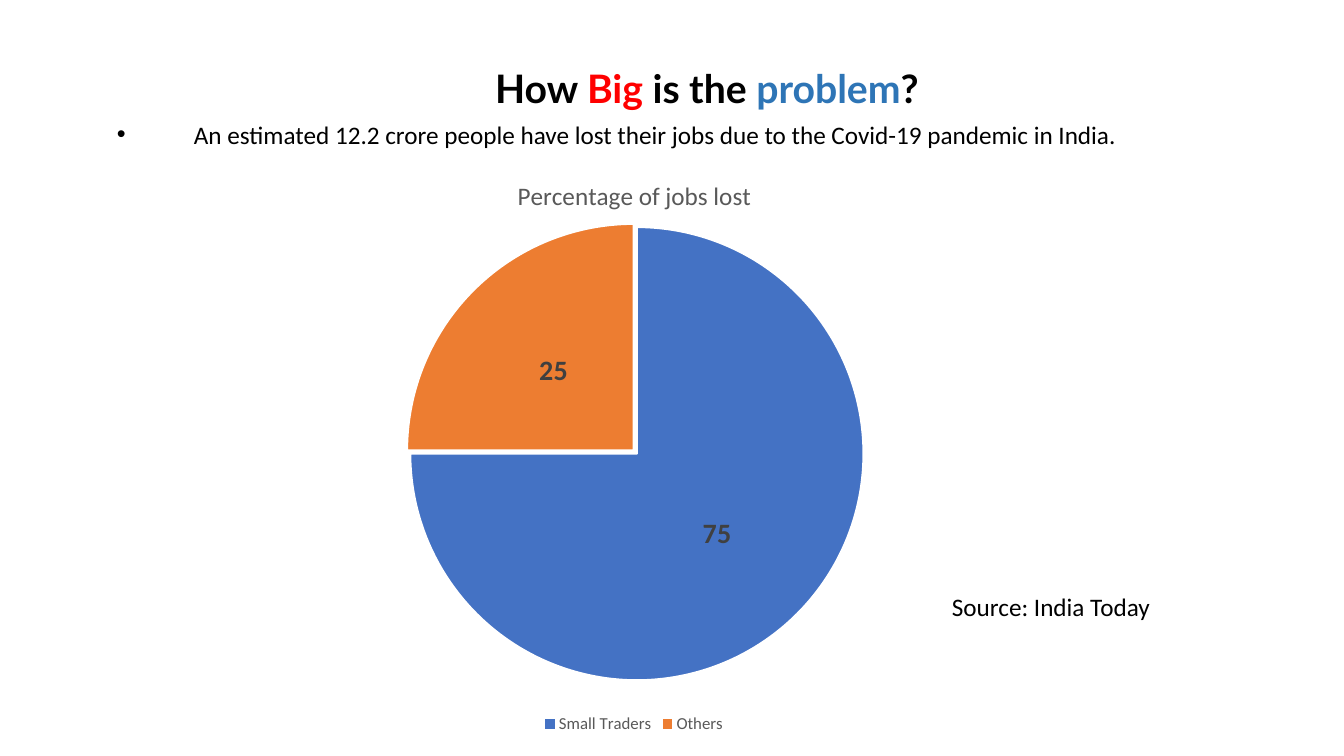
from lxml.etree import SubElement
from pptx import Presentation
from pptx.chart.data import CategoryChartData
from pptx.dml.color import RGBColor
from pptx.enum.chart import XL_CHART_TYPE, XL_LABEL_POSITION, XL_LEGEND_POSITION
from pptx.enum.text import MSO_ANCHOR, MSO_AUTO_SIZE, PP_ALIGN
from pptx.oxml import parse_xml
from pptx.oxml.ns import nsdecls, qn
from pptx.util import Emu, Pt

COLORS = {"black": "000000", "red": "FF0000", "problem": "2E75B6", "white": "FFFFFF",
          "traders": "4472C4", "others": "ED7D31", "label": "404040", "muted": "595959"}
TITLE = [("How ", "black"), ("Big", "red"), (" is the ", "black"),
         ("problem", "problem"), ("?", "black")]
FACT = "An estimated 12.2 crore people have lost their jobs due to the Covid-19 pandemic in India."
SOURCE = "Source: India Today"
CHART_TITLE = "Percentage of jobs lost"
JOBS_LOST = [("Small Traders", 75, "traders"), ("Others", 25, "others")]

# left, top, width, height in px
SLIDE = (1344, 756)
TITLE_BOX = (107, 59, 1200, 56)
FACT_BOX = (107, 114, 1200, 42)
CHART_BOX = (186, 140, 896, 598)
PIE_BOX = (406, 223, 458, 458)
CHART_TITLE_AT = (513, 174)
SOURCE_BOX = (942, 586, 346, 40)
BULLET_INDENT = 77


def px(n):
    return Emu(round(n * 914400 / 100.8))


def rgb(name):
    return RGBColor.from_string(COLORS[name])


def set_font(font, size, color="black", name="Calibri", bold=False):
    font.size, font.name, font.bold = Pt(size), name, bold
    font.color.rgb = rgb(color)


def write(tf, runs, size, name="Calibri", bold=False, align=PP_ALIGN.LEFT):
    tf.word_wrap = True
    tf.auto_size = MSO_AUTO_SIZE.NONE
    tf.vertical_anchor = MSO_ANCHOR.TOP
    p = tf.paragraphs[0]
    p.alignment = align
    for text, color in runs:
        r = p.add_run()
        r.text = text
        set_font(r.font, size, color, name, bold)
    return p


def chart_layout(left, top, width=None, height=None):
    """Manual layout element from slide px, as fractions of the chart box."""
    x, y, w, h = CHART_BOX
    parts = [("x", (left - x) / w), ("y", (top - y) / h)]
    inner = ""
    if width:
        parts += [("w", width / w), ("h", height / h)]
        inner = '<c:layoutTarget val="inner"/>'
    modes = '<c:xMode val="edge"/><c:yMode val="edge"/>'
    values = "".join(f'<c:{k} val="{v:.3f}"/>' for k, v in parts)
    return parse_xml(f'<c:layout {nsdecls("c")}><c:manualLayout>{inner}{modes}{values}'
                     '</c:manualLayout></c:layout>')


def add_pie(s):
    data = CategoryChartData()
    data.categories = [name for name, _, _ in JOBS_LOST]
    data.add_series("Series 1", [value for _, value, _ in JOBS_LOST])
    chart = s.shapes.add_chart(XL_CHART_TYPE.PIE, *map(px, CHART_BOX), data).chart
    set_font(chart.font, 10)

    chart.has_title = True
    title = chart.chart_title
    r = title.text_frame.paragraphs[0].add_run()
    r.text = CHART_TITLE
    set_font(r.font, 18, "muted")
    title_xml = title._element
    for old in title_xml.findall(qn("c:layout")):
        title_xml.remove(old)
    title_xml.find(qn("c:tx")).addnext(chart_layout(*CHART_TITLE_AT))

    chart.has_legend = True
    chart.legend.position = XL_LEGEND_POSITION.BOTTOM
    chart.legend.include_in_layout = False
    set_font(chart.legend.font, 12, "muted")

    plot = chart.plots[0]
    plot.vary_by_categories = True
    plot.has_data_labels = True
    labels = plot.data_labels
    labels.show_value = True
    labels.show_percentage = False
    labels.position = XL_LABEL_POSITION.CENTER
    set_font(labels.font, 20, "label", bold=True)

    series = plot.series[0]
    for i, (_, _, color) in enumerate(JOBS_LOST):
        fmt = series.points[i].format
        fmt.fill.solid()
        fmt.fill.fore_color.rgb = rgb(color)
        fmt.line.color.rgb = rgb("white")
        fmt.line.width = Pt(1.5)
    explosion = parse_xml(f'<c:explosion {nsdecls("c")} val="1"/>')
    series._element.find(qn("c:dPt")).addprevious(explosion)

    area = chart._chartSpace.chart.plotArea
    for old in area.findall(qn("c:layout")):
        area.remove(old)
    area.insert(0, chart_layout(*PIE_BOX))


def main():
    prs = Presentation()
    prs.slide_width, prs.slide_height = map(px, SLIDE)
    s = prs.slides.add_slide(prs.slide_layouts[5])

    title = s.shapes.title
    title.left, title.top, title.width, title.height = map(px, TITLE_BOX)
    write(title.text_frame, TITLE, 28, name="Lato", bold=True, align=PP_ALIGN.CENTER)

    fact = s.shapes.add_textbox(*map(px, FACT_BOX))
    p = write(fact.text_frame, [(FACT, "black")], 18)
    pPr = p._p.get_or_add_pPr()
    pPr.set("marL", str(px(BULLET_INDENT)))
    pPr.set("indent", str(-px(BULLET_INDENT)))
    SubElement(pPr, qn("a:buFont"), typeface="Arial")
    SubElement(pPr, qn("a:buChar"), char="•")

    add_pie(s)
    source = s.shapes.add_textbox(*map(px, SOURCE_BOX))
    write(source.text_frame, [(SOURCE, "black")], 18)
    prs.save("out.pptx")


if __name__ == "__main__":
    main()
